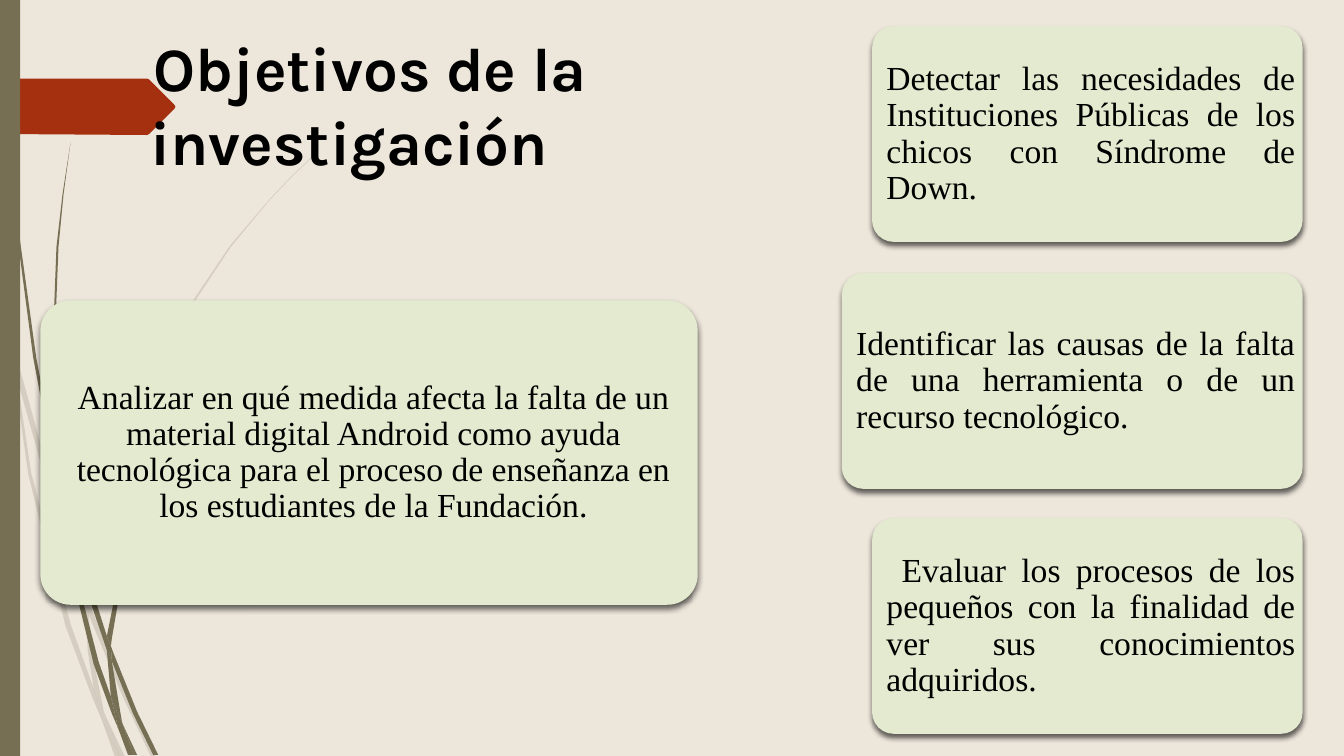
from lxml import etree
from pptx import Presentation, util as u
from pptx.dml.color import RGBColor
from pptx.enum import shapes, text
from pptx.oxml.ns import qn

OLIVE, RED, SAND, MINT, BLACK = "766F54", "A53010", "EDE6DB", "E3EACF", "000000"


def paint(fill, colour, alpha=100):
    fill.solid()
    fill.fore_color.rgb = RGBColor.from_string(colour)
    if alpha < 100:
        tint = fill._xPr.find(qn("a:solidFill"))[0]
        etree.SubElement(tint, qn("a:alpha"), val=str(alpha * 1000))


def write(shape, words, margins, paragraph_format, font_format, indent=0):
    frame = shape.text_frame
    frame.word_wrap = True
    for side, margin in zip(("left", "top", "right", "bottom"), margins):
        setattr(frame, "margin_" + side, u.Inches(margin))
    paragraph = frame.paragraphs[0]
    paragraph.text = words
    for name, value in paragraph_format.items():
        setattr(paragraph, name, value)
    if indent:
        paragraph._p.get_or_add_pPr().set("indent", str(u.Inches(indent)))
    font = paragraph.runs[0].font
    for name, value in font_format.items():
        setattr(font, name, value)
    font.color.rgb = RGBColor.from_string(BLACK)


pale_strands = [
    "0.11,3.5 0.09,3.22 0,2.82 0,2.99 0.1,3.44",
    "0.58,5.22 0.84,5.99 0.85,5.86 0.62,5.2 0.14,3.45 0.17,3.76",
    "0.92,6.07 0.88,5.96 0.88,6.1 1.23,6.94 1.5,7.51 1.55,7.51 1.27,6.92",
    "1.19,7.51 1.24,7.51 1.05,7.11",
    "0.93,6.83 0.7,6.19 0.31,4.69 0.17,3.76 0.11,3.5 0.28,4.7 0.65,6.21 0.92,6.93 1.01,7.14 0.99,7.07",
    "0.84,5.99 0.87,6.46 0.93,6.83 0.96,6.92 1.05,7.11 1.03,7.06 0.91,6.46 0.88,6.1 0.88,6.08",
    "0.88,5.84 1.1,4.62 1.6,3.49 2.29,2.45 2.68,1.98 2.9,1.75 3.12,1.54 3.12,1.53 2.89,1.75 "
    "2.68,1.97 2.28,2.44 1.58,3.48 1.07,4.61 0.85,5.84 0.85,5.86 0.88,5.96",
    "1.01,7.14 1.14,7.51 1.19,7.51",
    "0.88,6.08 0.88,6.1 0.88,5.96 0.85,5.86 0.84,5.99",
    "0.96,6.92 0.93,6.83 0.99,7.07 1.01,7.14 1.19,7.51 1.05,7.11",
]
dark_strands = [
    "0.07,1.1 0.17,2.33 0.33,3.55 0.56,4.77 0.57,4.81 0.55,4.57 0.55,4.53 0.36,3.55 0.19,2.32 "
    "0.08,1.09 0.05,0.48 0.04,0 0.03,0 0.04,0.48",
    "0.88,5.92 1.06,6.45 1.06,6.33 1.06,6.31 0.93,5.9 0.6,4.72 0.64,5.05",
    "1.13,6.49 1.1,6.41 1.11,6.56 1.32,7.08 1.52,7.49 1.57,7.49 1.36,7.06",
    "1.1,6.91 0.98,6.57 0.72,5.56 0.64,5.05 0.57,4.77 0.68,5.57 0.93,6.59 1.11,7.08 1.17,7.22 1.16,7.17",
    "0.6,4.72 0.58,4.53 0.54,3.49 0.58,2.45 0.63,1.93 0.7,1.41 0.62,1.93 0.56,2.45 0.52,3.49 0.55,4.49",
    "1.33,7.49 1.36,7.49 1.22,7.19",
    "1.11,6.33 1.25,5.52 1.58,4.76 2.05,4.06 2.31,3.74 2.45,3.59 2.61,3.44 2.6,3.44 2.45,3.58 "
    "2.31,3.73 2.04,4.05 1.56,4.74 1.22,5.51 1.06,6.31 1.1,6.41",
    "1.17,7.22 1.27,7.49 1.31,7.49",
    "1.06,6.45 1.1,6.91 1.16,7.06 1.22,7.19 1.21,7.16 1.11,6.56 1.09,6.51",
    "1.06,6.45 1.09,6.51 1.11,6.56 1.1,6.41 1.06,6.31 1.06,6.33",
    "1.16,7.06 1.1,6.91 1.16,7.17 1.17,7.22 1.3,7.49 1.33,7.49 1.22,7.19",
]
arrow_outline = ["1.73,1.08 1.48,1.33 1.46,1.34 0,1.33 0,0.78 1.46,0.78 1.48,0.79 1.73,1.04 1.74,1.06"]

deck = Presentation()
deck.slide_width, deck.slide_height = u.Inches(13.33), u.Inches(7.5)
slide = deck.slides.add_slide(deck.slide_layouts[6])
paint(slide.background.fill, SAND)

for outlines, colour, alpha in ((pale_strands, OLIVE, 20), (dark_strands, OLIVE, 100),
                                (arrow_outline, RED, 100)):
    for outline in outlines:
        start, *corners = [tuple(u.Inches(float(n)) for n in point.split(",")) for point in outline.split()]
        builder = slide.shapes.build_freeform(*start)
        builder.add_line_segments(corners, close=True)
        blade = builder.convert_to_shape()
        blade.shadow.inherit = False
        paint(blade.fill, colour, alpha)
        blade.line.fill.background()

band = slide.shapes.add_shape(shapes.MSO_SHAPE.RECTANGLE, 0, 0, u.Inches(0.2), u.Inches(7.5))
band.shadow.inherit = False
paint(band.fill, OLIVE)
band.line.fill.background()

title = slide.shapes.add_textbox(u.Inches(-0.14), u.Inches(0.25), u.Inches(7.21), u.Inches(1.56))
write(title, "Objetivos de la investigación", (0.1, 0.05, 0.1, 0.05),
      {"alignment": text.PP_ALIGN.CENTER},
      {"name": "Karla", "size": u.Pt(44), "bold": True}, indent=0.42)

centred, justified = text.PP_ALIGN.CENTER, text.PP_ALIGN.JUSTIFY
objectives = [
    (0.4, 2.98, 6.52, 3.02, 0.1, centred, 0,
     "Analizar en qué medida afecta la falta de un material digital Android como ayuda tecnológica "
     "para el proceso de enseñanza en los estudiantes de la Fundación."),
    (8.65, 0.26, 4.27, 2.14, 0.08, justified, 0,
     "Detectar las necesidades de Instituciones Públicas de los chicos con Síndrome de Down."),
    (8.35, 2.71, 4.57, 2.14, 0.08, justified, 0,
     "Identificar las causas de la falta de una herramienta o de un recurso tecnológico."),
    (8.65, 5.14, 4.27, 2.14, 0.08, justified, 0.15,
     "Evaluar los procesos de los pequeños con la finalidad de ver sus conocimientos adquiridos."),
]
for left, top, width, height, margin, alignment, indent, words in objectives:
    card = slide.shapes.add_shape(shapes.MSO_SHAPE.ROUNDED_RECTANGLE, u.Inches(left), u.Inches(top),
                                  u.Inches(width), u.Inches(height))
    card.adjustments[0] = 0.1
    paint(card.fill, MINT)
    card.line.fill.background()
    card.shadow.inherit = False
    effects = card._element.spPr.find(qn("a:effectLst"))
    shadow = etree.SubElement(effects, qn("a:outerShdw"), blurRad=str(u.Pt(4)), dist=str(u.Pt(3)),
                              dir="5400000", algn="ctr", rotWithShape="0")
    shade = etree.SubElement(shadow, qn("a:srgbClr"), val=BLACK)
    etree.SubElement(shade, qn("a:alpha"), val="60000")
    card.text_frame.vertical_anchor = text.MSO_ANCHOR.MIDDLE
    write(card, words, (margin, margin, 0.01, margin),
          {"alignment": alignment, "line_spacing": 0.9},
          {"name": "Times New Roman", "size": u.Pt(24)}, indent)

deck.save("out.pptx")
